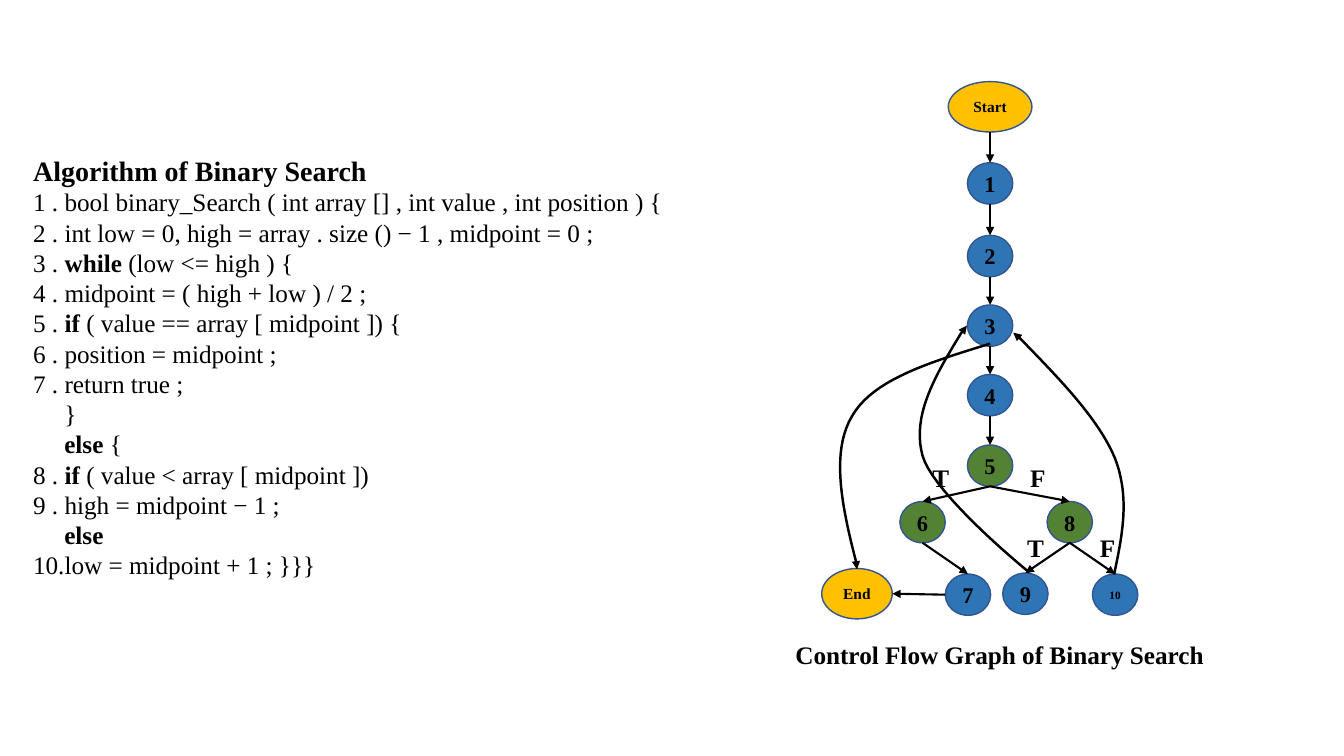
from dataclasses import dataclass

from lxml import etree
from pptx import Presentation
from pptx.dml.color import RGBColor
from pptx.enum.shapes import MSO_CONNECTOR, MSO_SHAPE
from pptx.enum.text import MSO_ANCHOR, PP_ALIGN
from pptx.oxml.ns import qn
from pptx.util import Inches, Pt

STRAIGHT = MSO_CONNECTOR.STRAIGHT
OVAL, CIRCLE = MSO_SHAPE.OVAL, MSO_SHAPE.FLOWCHART_CONNECTOR
CENTER, MIDDLE = PP_ALIGN.CENTER, MSO_ANCHOR.MIDDLE


@dataclass(frozen=True)
class Theme:
    """Colours, font, type sizes and line widths of the slide."""
    font: str = "Times New Roman"
    ink: str = "000000"
    outline: str = "325491"
    terminal: str = "FFC000"
    step: str = "2E75B6"
    decision: str = "548235"
    title: int = 20
    body: int = 18
    node: int = 16
    end: int = 11
    small: int = 8
    border: float = 1
    edge: float = 1.5
    curve: float = 1.75


THEME = Theme()

# Asterisks enclose keywords; a leading tab marks an unnumbered, indented line.
CODE = [
    "1 . bool binary_Search ( int array [] , int value , int position ) {",
    "2 . int low = 0, high = array . size () − 1 , midpoint = 0 ;",
    "3 . *while* (low <= high ) {",
    "4 . midpoint = ( high + low ) / 2 ;",
    "5 . *if* ( value == array [ midpoint ]) {",
    "6 . position = midpoint ;",
    "7 . return true ;",
    "\t}",
    "\t*else* {",
    "8 . *if* ( value < array [ midpoint ])",
    "9 . high = midpoint − 1 ;",
    "\t*else*",
    "10.low = midpoint + 1 ; }}}",
]

TRUNK = 2.02
TERMINAL_NODES = {"Start": (TRUNK, 0.26, 0.83, 0.5), "End": (0.7, 5.09, 0.7, 0.5)}
STEP_SIZE = (0.45, 0.41)
STEP_CENTERS = {
    "1": (TRUNK, 1.02), "2": (TRUNK, 1.74), "3": (TRUNK, 2.43),
    "4": (TRUNK, 3.12), "5": (TRUNK, 3.82), "6": (1.35, 4.38),
    "8": (2.81, 4.38), "9": (2.37, 5.09), "10": (3.26, 5.1), "7": (1.8, 5.1),
}
NODES = TERMINAL_NODES | {k: c + STEP_SIZE for k, c in STEP_CENTERS.items()}
DECISIONS = {"5", "6", "8"}
DOWN_EDGES = [("Start", "1"), ("1", "2"), ("2", "3"), ("3", "4"), ("4", "5"),
              ("5", "6"), ("5", "8"), ("6", "7"), ("8", "9"), ("8", "10")]
BRANCH_LABELS = [("T", 1.35, 3.74), ("F", 2.32, 3.74),
                 ("T", 2.29, 4.43), ("F", 3.01, 4.43)]
# Each curve: start, Bezier segments (two controls and an end), arrow tip.
CURVES = [
    ((2.02, 2.61), [((1.44, 2.79), (0.86, 2.96), (0.65, 3.33)),
                    ((0.43, 3.7), (0.56, 4.27), (0.7, 4.81))], (0.7, 4.85)),
    ((2.41, 4.88), [((2.41, 4.88), (1.46, 4.11), (1.35, 3.72)),
                    ((1.24, 3.32), (1.48, 2.92), (1.73, 2.51))], (1.79, 2.43)),
    ((3.25, 4.9), [((3.33, 4.52), (3.41, 4.14), (3.26, 3.75)),
                   ((3.1, 3.36), (2.71, 2.96), (2.32, 2.56))], (2.25, 2.5)),
]


def color(value):
    """Turn a hex string into a colour."""
    return RGBColor.from_string(value)


def style(r, size, bold=True):
    """Give a run the slide's font."""
    r.font.name, r.font.size, r.font.bold = THEME.font, Pt(size), bold
    r.font.color.rgb = color(THEME.ink)


def style_line(sp, width, value=THEME.ink, arrow=False):
    """Set a line's colour and width, with an optional arrowhead at its end."""
    sp.line.color.rgb, sp.line.width = color(value), Pt(width)
    if arrow:
        etree.SubElement(sp.line._get_or_add_ln(), qn("a:tailEnd"), type="triangle")


def add_label(s, text, left, top, width, height, size):
    """Add a one-line bold label."""
    sp = s.shapes.add_textbox(*map(Inches, (left, top, width, height)))
    p = sp.text_frame.paragraphs[0]
    p.text = text
    style(p.runs[0], size)


def add_code(s, left, top, width, height):
    """Add the algorithm listing."""
    sp = s.shapes.add_textbox(*map(Inches, (left, top, width, height)))
    tf = sp.text_frame
    tf.word_wrap = True
    p = tf.paragraphs[0]
    p.text = "Algorithm of Binary Search"
    style(p.runs[0], THEME.title)
    for line in CODE:
        p = tf.add_paragraph()
        if line.startswith("\t"):
            p._p.get_or_add_pPr().set("marL", str(Inches(0.31)))
        for i, part in enumerate(line.lstrip("\t").split("*")):
            if part:
                r = p.add_run()
                r.text = part
                style(r, THEME.body, bold=i % 2 == 1)


def add_node(s, name, left, top):
    """Add one graph node, centred on its place in the graph."""
    x, y, w, h = NODES[name]
    terminal = name in TERMINAL_NODES
    sp = s.shapes.add_shape(OVAL if terminal else CIRCLE, Inches(left + x - w / 2),
                            Inches(top + y - h / 2), Inches(w), Inches(h))
    sp.shadow.inherit = False
    sp.fill.solid()
    sp.fill.fore_color.rgb = color(
        THEME.terminal if terminal
        else THEME.decision if name in DECISIONS else THEME.step)
    style_line(sp, THEME.border, THEME.outline)
    tf = sp.text_frame
    tf.margin_left = tf.margin_right = tf.margin_top = tf.margin_bottom = 0
    tf.word_wrap, tf.vertical_anchor = False, MIDDLE
    p = tf.paragraphs[0]
    p.text, p.alignment = name, CENTER
    style(p.runs[0], THEME.end if terminal
          else THEME.small if len(name) > 1 else THEME.node)


def add_edge(s, source, target, left, top, dx=0, dy=1):
    """Join two nodes, leaving the source in direction (dx, dy)."""
    (x1, y1, w1, h1), (x2, y2, w2, h2) = NODES[source], NODES[target]
    sp = s.shapes.add_connector(
        STRAIGHT,
        Inches(left + x1 + dx * w1 / 2), Inches(top + y1 + dy * h1 / 2),
        Inches(left + x2 - dx * w2 / 2), Inches(top + y2 - dy * h2 / 2))
    style_line(sp, THEME.edge, arrow=True)
    etree.SubElement(sp._element.spPr, qn("a:effectLst"))


def add_curve(s, start, segments, tip, left, top, steps=20):
    """Draw a chain of Bezier segments that ends in an arrow."""
    points = [start]
    for b, c, d in segments:
        a = points[-1]
        for i in range(1, steps + 1):
            t = i / steps
            weights = ((1 - t) ** 3, 3 * t * (1 - t) ** 2, 3 * t * t * (1 - t), t ** 3)
            points.append(tuple(sum(k * v for k, v in zip(weights, axis))
                                for axis in zip(a, b, c, d)))
    points = [(Inches(left + x), Inches(top + y)) for x, y in points + [tip]]
    builder = s.shapes.build_freeform(*points[0])
    builder.add_line_segments(points[1:], close=False)
    sp = builder.convert_to_shape()
    sp.shadow.inherit = False
    sp.fill.background()
    style_line(sp, THEME.curve, arrow=True)


def add_graph(s, left, top, width):
    """Add the control flow graph and its caption."""
    for name in NODES:
        add_node(s, name, left, top)
    for source, target in DOWN_EDGES:
        add_edge(s, source, target, left, top)
    add_edge(s, "7", "End", left, top, dx=-1, dy=0)
    for text, x, y in BRANCH_LABELS:
        add_label(s, text, left + x, top + y, 0.37, 0.4, THEME.body)
    for curve in CURVES:
        add_curve(s, *curve, left, top)
    add_label(s, "Control Flow Graph of Binary Search",
              left - 0.01, top + 5.49, width, 0.4, THEME.body)


prs = Presentation()
prs.slide_width, prs.slide_height = Inches(13.33), Inches(7.5)
s = prs.slides.add_slide(prs.slide_layouts[6])
add_code(s, 0.23, 1.47, 6.67, 4.38)
add_graph(s, 7.8, 0.8, 4.3)
prs.save("out.pptx")
